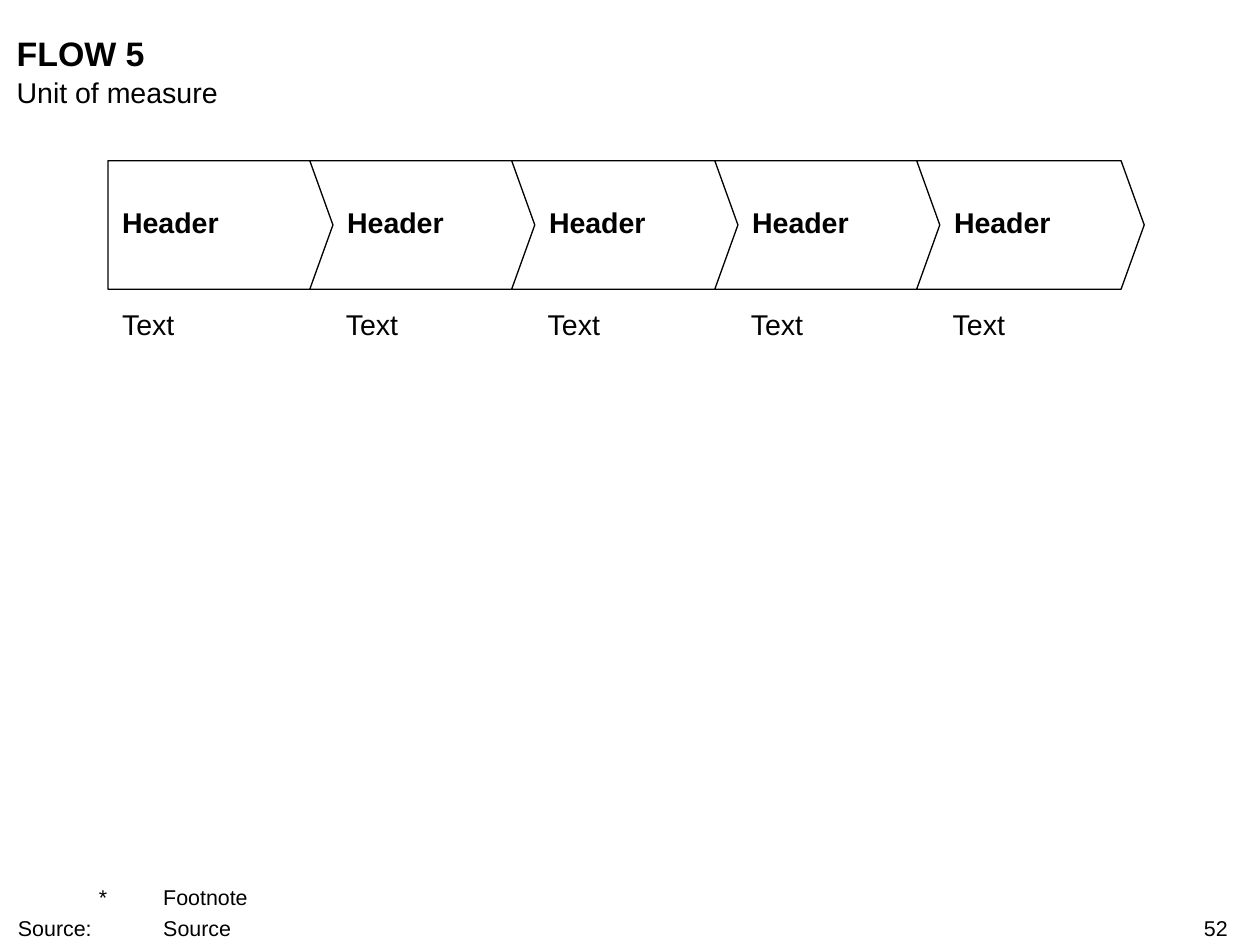
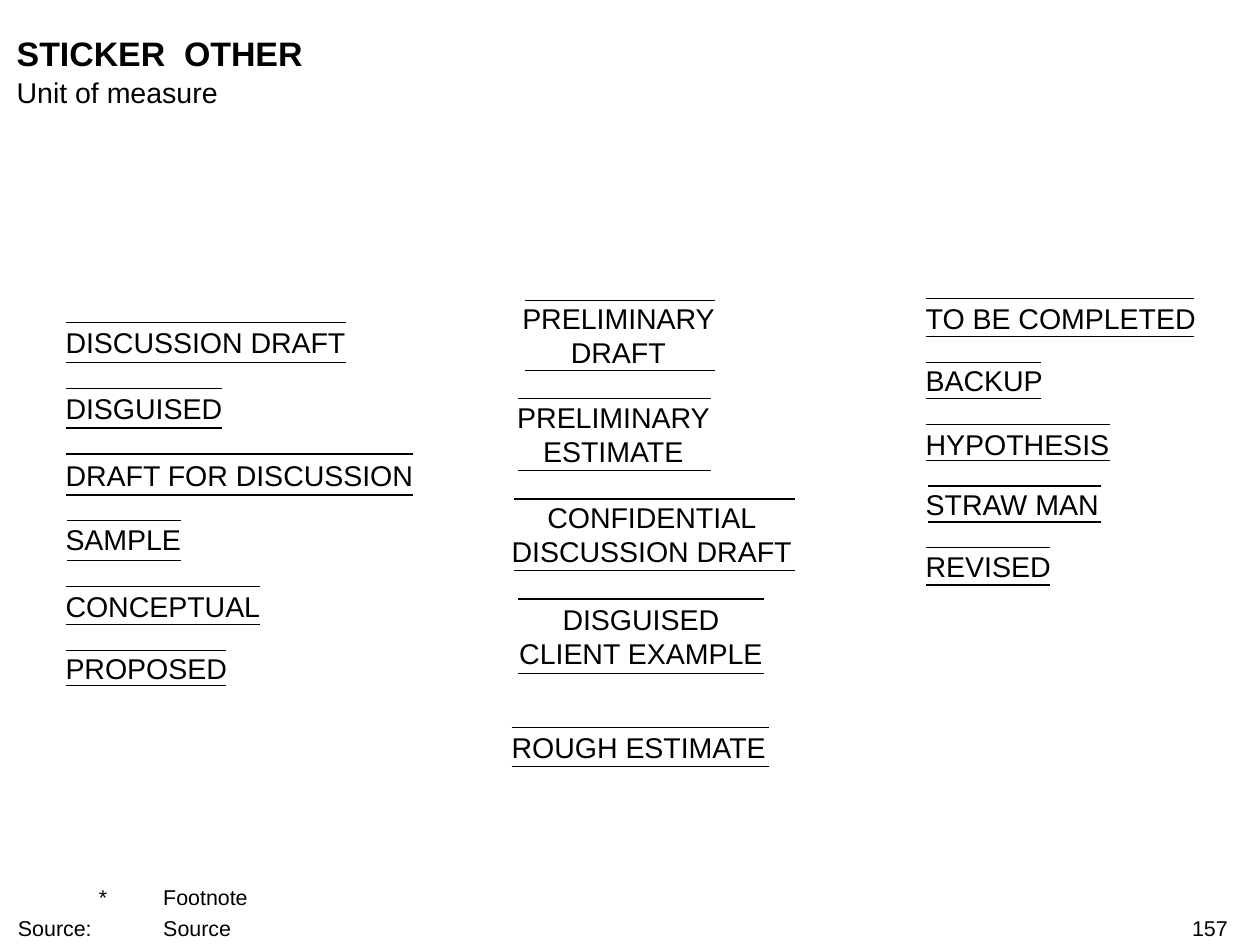
import pptx
import pptx.util
import pptx.dml.color
import pptx.enum.shapes
import pptx.enum.text
import pptx.oxml
import pptx.oxml.ns

PX = 9144
FONT = "Arial"
COLORS = {"ink": "000000", "paper": "FFFFFF"}
ALIGN = pptx.enum.text.PP_ALIGN
ANCHOR = pptx.enum.text.MSO_ANCHOR

FLOW = ["Header"] * 5
NOTES = ["Text"] * 5
FLOW_LEFT, FLOW_TOP, FLOW_STEP = 84, 125, 157.25
FLOW_WIDE, FLOW_HIGH, FLOW_TIP = 177, 100, 18

LEFT_TAGS = [
    (["DISCUSSION DRAFT"], 253, 218, (51, 269), (251, 282)),
    (["DISGUISED"], 304, 122, (51, 173), (302, 333)),
    (["DRAFT FOR DISCUSSION"], 356, 271, (51, 321), (353, 385)),
    (["SAMPLE"], 406, 90, (52, 141), (405, 436)),
    (["CONCEPTUAL"], 458, 151, (51, 202), (456, 486)),
    (["PROPOSED"], 506, 126, (51, 176), (506, 533)),
]
MID_TAGS = [
    (["PRELIMINARY DRAFT"], 234, 166, (408, 556), (234, 288)),
    (["PRELIMINARY ESTIMATE"], 311, 158, (403, 553), (310, 366)),
    (["CONFIDENTIAL", "DISCUSSION DRAFT"], 389, 218, (400, 618), (388, 444)),
    (["DISGUISED CLIENT EXAMPLE"], 468, 201, (403, 594), (466, 524)),
    (["ROUGH ESTIMATE"], 568, 200, (398, 598), (566, 596)),
]
RIGHT_TAGS = [
    (["TO BE COMPLETED"], 234, 211, (720, 929), (232, 262)),
    (["BACKUP"], 282, 91, (720, 810), (282, 310)),
    (["HYPOTHESIS"], 332, 143, (720, 863), (330, 358)),
    (["STRAW MAN"], 379, 136, (722, 856), (378, 406)),
    (["REVISED"], 427, 97, (720, 817), (426, 455)),
]
COLUMNS = [(51, LEFT_TAGS), (398, MID_TAGS), (720, RIGHT_TAGS)]


def px(count):
    return pptx.util.Emu(round(count) * PX)


def color(name):
    return pptx.dml.color.RGBColor.from_string(COLORS[name])


def set_tabs(para, stops):
    props = para._p.get_or_add_pPr()
    props.set("marL", str(px(63)))
    props.set("indent", str(-px(63)))
    tabs = pptx.oxml.parse_xml("<a:tabLst %s/>" % pptx.oxml.ns.nsdecls("a"))
    for place, side in stops:
        tab = tabs.makeelement(pptx.oxml.ns.qn("a:tab"), {"pos": str(px(place)), "algn": side})
        tabs.append(tab)
    props.append(tabs)


def write(shape, lines, size=16, bold=False, align=ALIGN.LEFT,
          anchor=ANCHOR.TOP, wrap=True, inset=0, stops=None, gap=0):
    frame = shape.text_frame
    frame.auto_size = pptx.enum.text.MSO_AUTO_SIZE.NONE
    frame.word_wrap = wrap
    frame.vertical_anchor = anchor
    frame.margin_left = frame.margin_right = px(inset)
    frame.margin_top = frame.margin_bottom = 0
    for index, line in enumerate(lines):
        para = frame.add_paragraph() if index else frame.paragraphs[0]
        if stops:
            set_tabs(para, stops)
        para.alignment = align
        if index and gap:
            para.space_before = pptx.util.Pt(gap)
        run = para.add_run()
        run.text = line
        run.font.name = FONT
        run.font.size = pptx.util.Pt(size)
        run.font.bold = bold
        run.font.color.rgb = color("ink")


def add_text(shapes, box, lines, **style):
    write(shapes.add_textbox(*map(px, box)), lines, **style)


def stroke(shape):
    shape.line.color.rgb = color("ink")
    shape.line.width = pptx.util.Pt(0.75)


def add_rule(shapes, left, right, top):
    kind = pptx.enum.shapes.MSO_CONNECTOR.STRAIGHT
    rule = shapes.add_connector(kind, px(left), px(top), px(right), px(top))
    stroke(rule)
    rule._element.spPr.append(
        pptx.oxml.parse_xml("<a:effectLst %s/>" % pptx.oxml.ns.nsdecls("a")))


def add_arrow(shapes, left, label, first):
    right, low = left + FLOW_WIDE, FLOW_TOP + FLOW_HIGH
    mid = FLOW_TOP + FLOW_HIGH // 2
    notch = left if first else left + FLOW_TIP
    group = shapes.add_group_shape().shapes
    pen = group.build_freeform(left, FLOW_TOP, PX)
    pen.add_line_segments([
        (right - FLOW_TIP, FLOW_TOP), (right, mid), (right - FLOW_TIP, low),
        (left, low), (notch, mid)])
    arrow = pen.convert_to_shape()
    arrow.shadow.inherit = False
    arrow.fill.solid()
    arrow.fill.fore_color.rgb = color("paper")
    stroke(arrow)
    start = left + (6 if first else 24)
    add_text(group, (start, 130, right - FLOW_TIP - start, 86), [label],
             bold=True, anchor=ANCHOR.MIDDLE, inset=5)


def add_tag(shapes, left, tag):
    lines, top, width, sides, rules = tag
    high = rules[1] - rules[0]
    tall = high > 40
    group = shapes.add_group_shape().shapes
    add_text(group, (left, top, width, 53 if tall else 27), lines,
             align=ALIGN.CENTER if tall else ALIGN.LEFT,
             wrap=tall and len(lines) == 1)
    for level in rules:
        add_rule(group, *sides, level)


def add_slide(deck, title, page):
    slide = deck.slides.add_slide(deck.slide_layouts[5])
    head = slide.shapes.title
    head.left, head.top, head.width, head.height = map(px, (13, 25, 943, 32))
    write(head, [title], size=19, bold=True)
    add_text(slide.shapes, (13, 58, 943, 27), ["Unit of measure"])
    add_text(slide.shapes, (14, 688, 893, 44), ["\t*\tFootnote", "Source:\t\tSource"],
             size=12, anchor=ANCHOR.BOTTOM, gap=3,
             stops=[(0, "l"), (58, "r"), (98, "l")])
    add_text(slide.shapes, (751, 712, 204, 20), [page], size=12, align=ALIGN.RIGHT)
    return slide.shapes


def draw_flow(deck):
    shapes = add_slide(deck, "FLOW 5", "52")
    for index, (label, note) in enumerate(zip(FLOW, NOTES)):
        left = round(FLOW_LEFT + index * FLOW_STEP)
        first = index == 0
        add_arrow(shapes, left, label, first)
        add_text(shapes, (left + (11 if first else 28), 239, 140 if first else 155, 27), [note])


def draw_tags(deck):
    shapes = add_slide(deck, "STICKER  OTHER", "157")
    for left, tags in COLUMNS:
        for tag in tags:
            add_tag(shapes, left, tag)


def main():
    deck = pptx.Presentation()
    deck.slide_width, deck.slide_height = px(980), px(735)
    draw_flow(deck)
    draw_tags(deck)
    deck.save("out.pptx")


if __name__ == "__main__":
    main()
